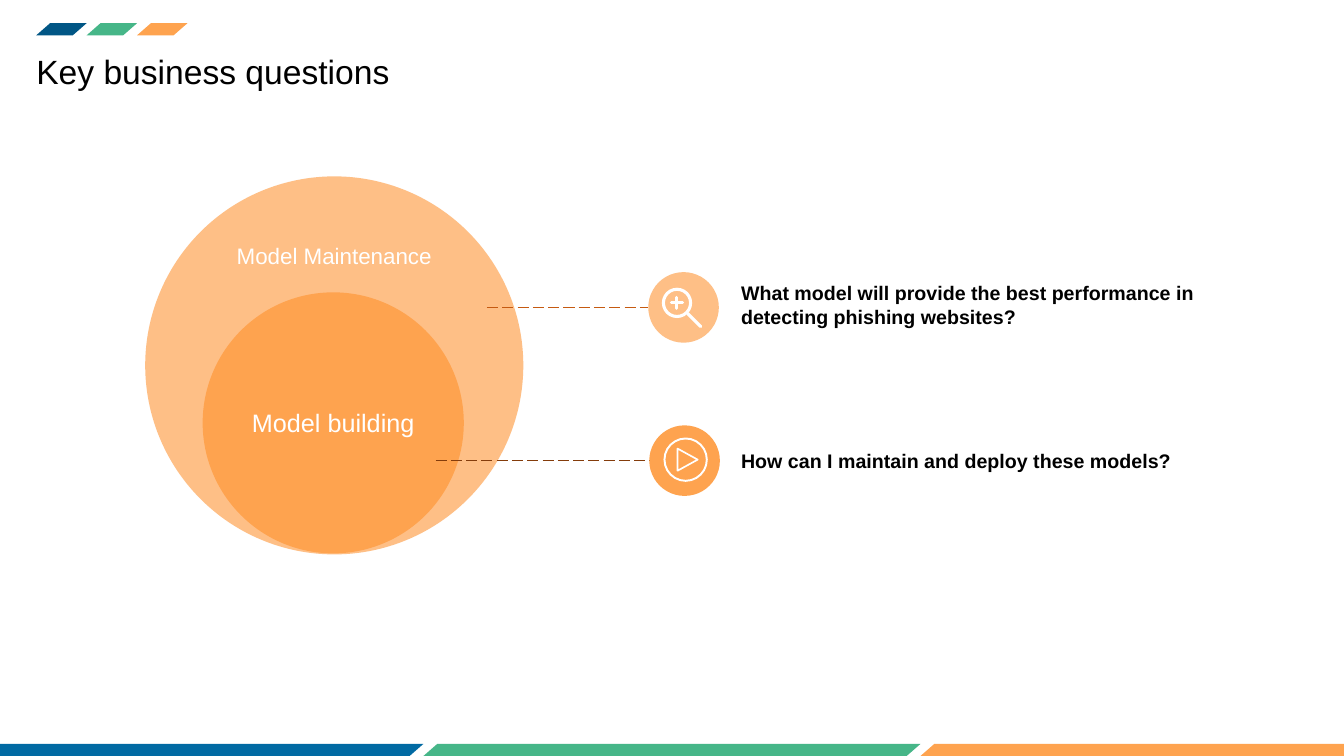
from lxml.etree import SubElement
from pptx import Presentation
from pptx.dml.color import RGBColor
from pptx.enum.dml import MSO_LINE
from pptx.enum.shapes import MSO_CONNECTOR, MSO_SHAPE
from pptx.enum.text import MSO_ANCHOR, MSO_AUTO_SIZE, PP_ALIGN
from pptx.oxml.ns import qn
from pptx.util import Inches, Pt

COLORS = {
    "navy": "015685",
    "blue": "016AA3",
    "green": "46B688",
    "orange": "FEA34F",
    "peach": "FEBF86",
    "rust": "C55A11",
    "brown": "843C0B",
    "white": "FFFFFF",
    "black": "000000",
}


def color(name):
    return RGBColor.from_string(COLORS[name])


def style_shape(shape, fill=None, line=None, width=1):
    shape.shadow.inherit = False
    if fill:
        shape.fill.solid()
        shape.fill.fore_color.rgb = color(fill)
    else:
        shape.fill.background()
    if line:
        shape.line.color.rgb = color(line)
        shape.line.width = Pt(width)
    else:
        shape.line.fill.background()


def write_text(shape, text, size=14, ink="black", bold=False, align=PP_ALIGN.LEFT):
    frame = shape.text_frame
    frame.word_wrap = True
    frame.auto_size = MSO_AUTO_SIZE.NONE
    frame.vertical_anchor = MSO_ANCHOR.MIDDLE
    frame.margin_left = frame.margin_right = frame.margin_top = frame.margin_bottom = 0
    paragraph = frame.paragraphs[0]
    paragraph.alignment = align
    run = paragraph.add_run()
    run.text = text
    run.font.name = "Arial"
    run.font.size = Pt(size)
    run.font.bold = bold
    run.font.color.rgb = color(ink)


def add_label(slide, left, top, width, height, text, **text_format):
    box = slide.shapes.add_textbox(Inches(left), Inches(top), Inches(width), Inches(height))
    write_text(box, text, **text_format)


def add_circle(slide, left, top, diameter, **style):
    circle = slide.shapes.add_shape(
        MSO_SHAPE.OVAL, Inches(left), Inches(top), Inches(diameter), Inches(diameter))
    style_shape(circle, **style)
    return circle


def add_line(slide, start, end, ink, width=1, dash=None, cap="flat"):
    line = slide.shapes.add_connector(
        MSO_CONNECTOR.STRAIGHT, *(Inches(value) for value in (*start, *end)))
    line.line.color.rgb = color(ink)
    line.line.width = Pt(width)
    if dash:
        line.line.dash_style = dash
    properties = line._element.spPr
    properties.find(qn("a:ln")).set("cap", cap)
    SubElement(properties, qn("a:effectLst"))


def add_stripes(slide, left, top, width, fills):
    """A row of slanted bars placed side by side."""
    for index, fill in enumerate(fills):
        stripe = slide.shapes.add_shape(
            MSO_SHAPE.PARALLELOGRAM, Inches(left + index * width), Inches(top),
            Inches(width), Inches(0.12))
        stripe.adjustments[0] = 1.144
        style_shape(stripe, fill=fill)


def add_magnifier(slide):
    stroke = {"ink": "white", "width": 2.2, "cap": "rnd"}
    add_circle(slide, 6.58, 2.87, 0.27, line="white", width=2.2)
    add_line(slide, (6.82, 3.11), (6.95, 3.24), **stroke)
    add_line(slide, (6.66, 3), (6.77, 3), **stroke)
    add_line(slide, (6.71, 2.95), (6.71, 3.06), **stroke)


def add_play_button(slide):
    add_circle(slide, 6.59, 4.35, 0.42, line="white", width=1.4)
    builder = slide.shapes.build_freeform(Inches(6.72), Inches(4.45))
    builder.add_line_segments(
        [(Inches(6.92), Inches(4.56)), (Inches(6.72), Inches(4.67))], close=True)
    style_shape(builder.convert_to_shape(), line="white", width=1.2)


def main():
    presentation = Presentation()
    presentation.slide_width = Inches(13.33)
    presentation.slide_height = Inches(7.5)
    slide = presentation.slides.add_slide(presentation.slide_layouts[5])

    # Title and decorative stripes
    add_stripes(slide, -0.73, 7.38, 4.93, ("blue", "green", "orange"))
    add_stripes(slide, 0.36, 0.23, 0.5, ("navy", "green", "orange"))
    title = slide.shapes.title
    title.left, title.top = Inches(0.36), Inches(0.5)
    title.width, title.height = Inches(9.46), Inches(0.4)
    write_text(title, "Key business questions", size=24)

    # Nested circles
    add_circle(slide, 1.44, 1.75, 3.75, fill="peach")
    building = add_circle(slide, 2.01, 2.9, 2.59, fill="orange")
    write_text(building, "Model building", size=18, ink="white", align=PP_ALIGN.CENTER)
    add_label(slide, 2.25, 2.4, 2.13, 0.27, "Model Maintenance",
              size=16, ink="white", align=PP_ALIGN.CENTER)

    # Leader lines and icon discs
    add_line(slide, (4.83, 3.05), (6.43, 3.05), "rust", dash=MSO_LINE.LONG_DASH)
    add_line(slide, (4.32, 4.57), (6.57, 4.57), "brown", dash=MSO_LINE.LONG_DASH)
    add_circle(slide, 6.43, 2.7, 0.7, fill="peach")
    add_circle(slide, 6.44, 4.22, 0.7, fill="orange")
    add_magnifier(slide)
    add_play_button(slide)

    # Questions
    add_label(slide, 7.35, 2.79, 5.15, 0.47,
              "What model will provide the best performance in detecting phishing websites?",
              bold=True)
    add_label(slide, 7.35, 4.45, 5.15, 0.24,
              "How can I maintain and deploy these models?", bold=True)

    presentation.save("out.pptx")


if __name__ == "__main__":
    main()
